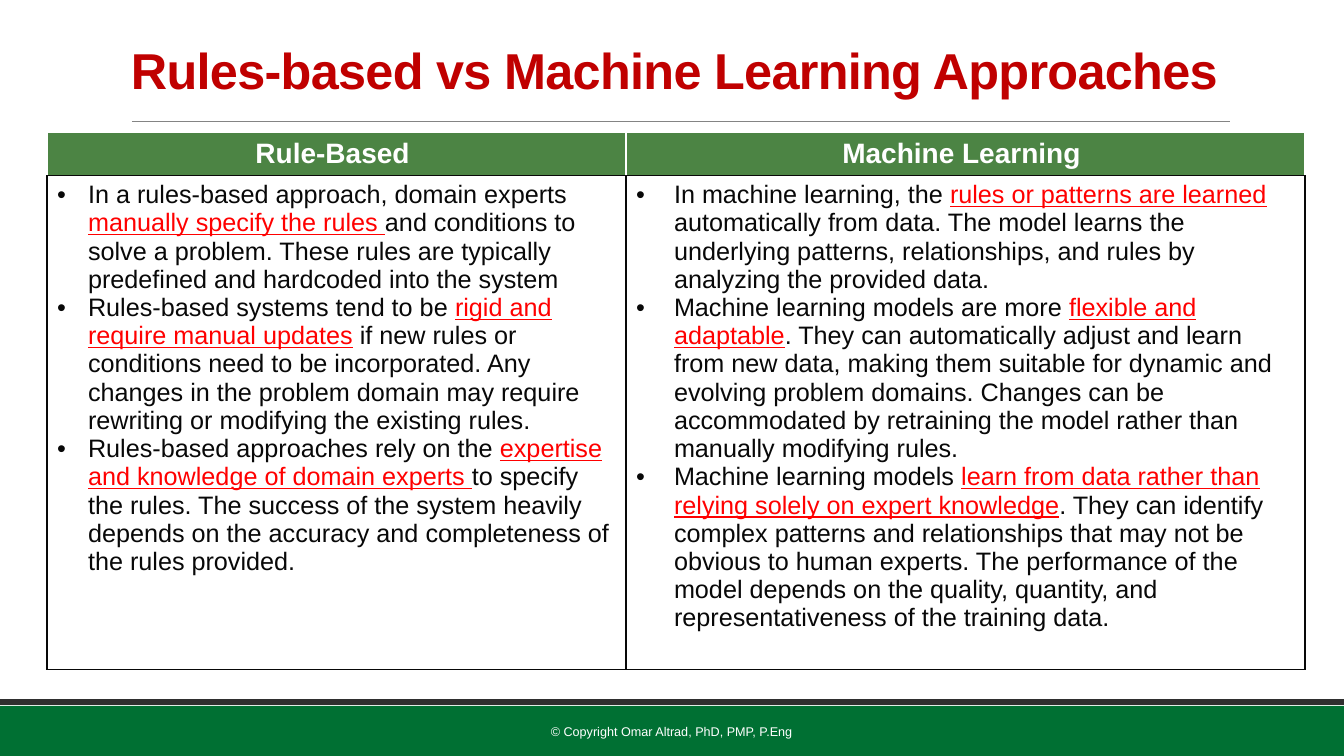
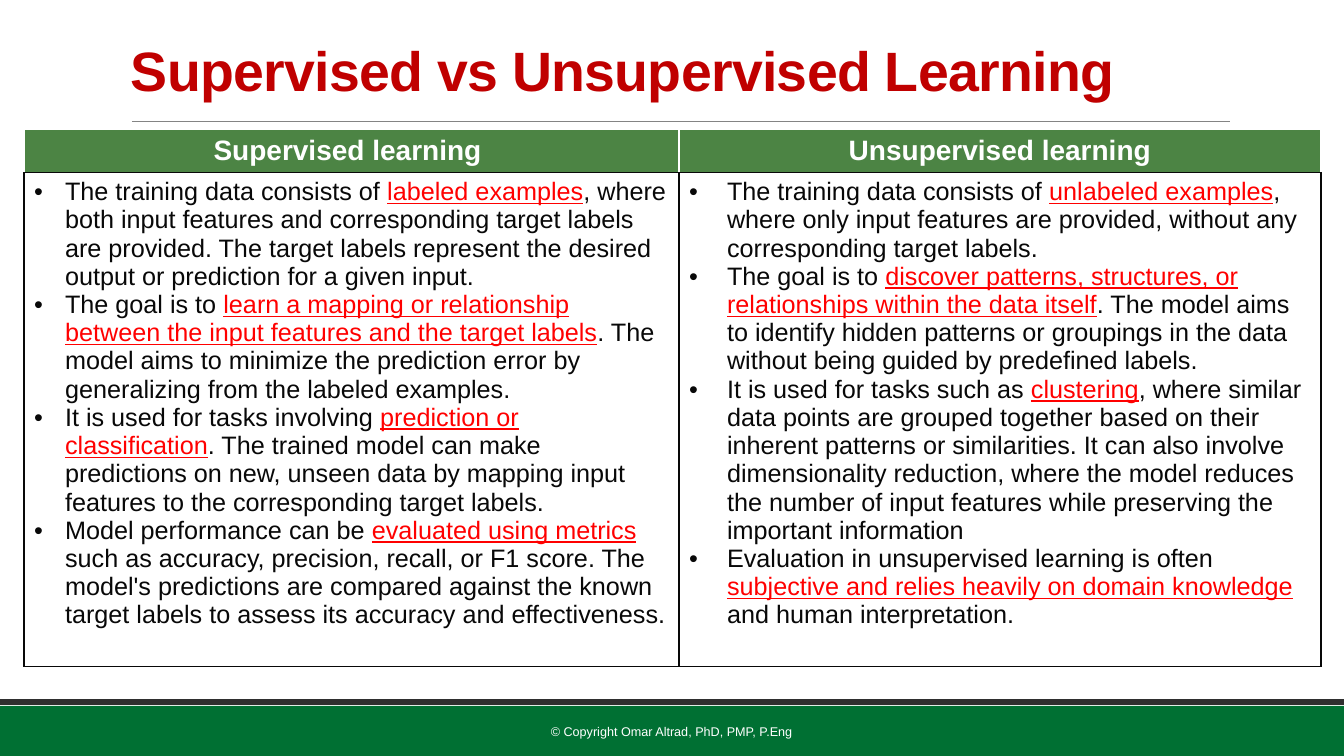
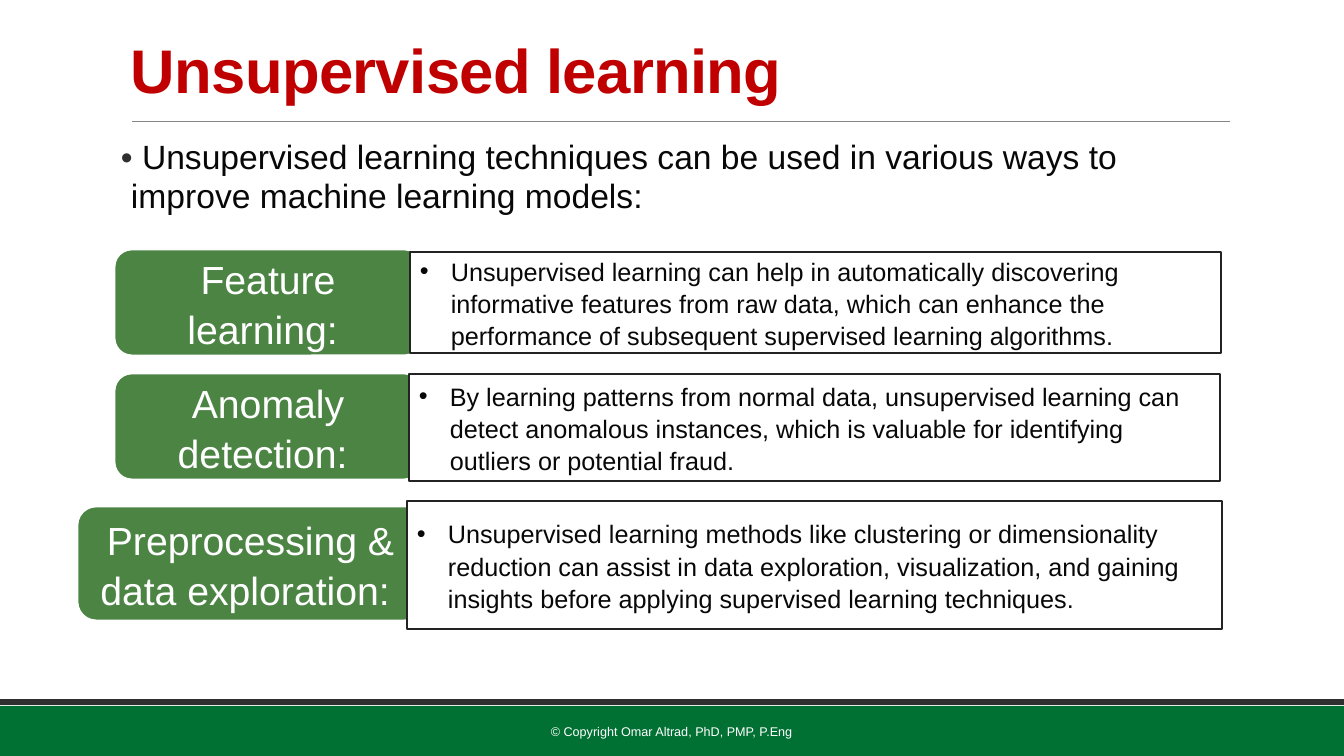
from dataclasses import dataclass
from lxml.etree import SubElement as Sub
from pptx import Presentation as Deck
from pptx.dml.color import RGBColor as Color
from pptx.enum.shapes import MSO_CONNECTOR as Link, MSO_SHAPE as Form
from pptx.enum.text import MSO_ANCHOR as Anchor, PP_ALIGN as Align
from pptx.oxml.ns import qn
from pptx.util import Emu, Pt

SCALE = 12192000 / 1344


@dataclass(frozen=True)
class Theme:
    face: str = "Arial"
    white: str = "FFFFFF"
    ink: str = "080808"
    red: str = "FF0000"
    title: str = "C00000"
    leaf: str = "4C8444"
    band: str = "007033"
    dark: str = "2F2F2F"
    rule: str = "848484"
    edge: str = "232323"
    text: int = 18
    head: int = 20
    lead: int = 24
    label: int = 28
    foot: int = 9


T = Theme()
MID = dict(alignment=Align.CENTER)


def px(n):
    return Emu(round(n * SCALE))


def area(box):
    return [px(n) for n in box]


def put(item, **vals):
    for key, val in vals.items():
        setattr(item, key, val)


def paint(fill, hue):
    fill.solid()
    fill.fore_color.rgb = Color.from_string(hue)


def write(para, text, size, hue, bold=False, **form):
    put(para, **form)
    for i, part in enumerate(text.split("|")):
        mark = i % 2 == 1
        run = para.add_run()
        run.text = part
        put(run.font, name=T.face, size=Pt(size), bold=bold, underline=mark)
        run.font.color.rgb = Color.from_string(T.red if mark else hue)
    return para


def dot(para, dent, hue=T.ink):
    props = para._p.get_or_add_pPr()
    props.set("marL", str(px(dent)))
    props.set("indent", str(-px(dent)))
    Sub(Sub(props, qn("a:buClr")), qn("a:srgbClr"), val=hue)
    Sub(props, qn("a:buFont"), typeface=T.face)
    Sub(props, qn("a:buChar"), char="•")


def block(slide, form, box, hue, edge=None, width=1):
    shape = slide.shapes.add_shape(form, *area(box))
    shape.shadow.inherit = False
    paint(shape.fill, hue)
    if edge:
        paint(shape.line.fill, edge)
        shape.line.width = Pt(width)
    else:
        shape.line.fill.background()
    put(shape.text_frame, word_wrap=True, vertical_anchor=Anchor.MIDDLE)
    return shape.text_frame.paragraphs[0]


def note(slide, box, **form):
    frame = slide.shapes.add_textbox(*area(box)).text_frame
    put(frame, word_wrap=True, **form)
    return frame.paragraphs[0]


def base(deck, title, size):
    slide = deck.slides.add_slide(deck.slide_layouts[6])
    block(slide, Form.RECTANGLE, (0, 706, 1344, 50), T.band)
    block(slide, Form.RECTANGLE, (0, 699, 1344, 6), T.dark)
    line = slide.shapes.add_connector(Link.STRAIGHT, *area((132, 121, 1230, 121)))
    paint(line.line.fill, T.rule)
    line.line.width = Pt(0.5)
    Sub(line._element.spPr, qn("a:effectLst"))
    para = note(slide, (121, 31, 1109, 87), vertical_anchor=Anchor.MIDDLE)
    write(para, title, size, T.title, True, line_spacing=0.85)
    para.runs[0].font._element.set("spc", "-50")
    foot = note(slide, (406, 712, 531, 40), vertical_anchor=Anchor.MIDDLE)
    write(foot, "© Copyright Omar Altrad, PhD, PMP, P.Eng", T.foot, T.white, **MID)
    return slide


def border(cell, hues):
    props = cell._tc.get_or_add_tcPr()
    for i, (side, hue) in enumerate(zip(("lnL", "lnR", "lnT", "lnB"), hues)):
        line = props.makeelement(qn("a:" + side), {"w": str(Pt(1))})
        Sub(Sub(line, qn("a:solidFill")), qn("a:srgbClr"), val=hue)
        props.insert(i, line)


def versus(slide, left, top, sides):
    wide = [side[0] for side in sides]
    rows = (41, 460)
    table = slide.shapes.add_table(2, 2, *area((left, top, sum(wide), sum(rows)))).table
    put(table, horz_banding=False)
    for row, high in zip(table.rows, rows):
        row.height = px(high)
    for i, (width, dent, head, points) in enumerate(sides):
        table.columns[i].width = px(width)
        top_cell, cell = table.cell(0, i), table.cell(1, i)
        top_cell.vertical_anchor = Anchor.MIDDLE
        paint(top_cell.fill, T.leaf)
        border(top_cell, [T.white] * 3 + [T.ink])
        write(top_cell.text_frame.paragraphs[0], head, T.head, T.white, True, **MID)
        paint(cell.fill, T.white)
        border(cell, [T.ink] * 4)
        frame = cell.text_frame
        for j, point in enumerate(points):
            para = frame.add_paragraph() if j else frame.paragraphs[0]
            dot(write(para, point, T.text, T.ink), dent)


def topic(slide, tag, card, name, text):
    para = block(slide, Form.ROUNDED_RECTANGLE, tag, T.leaf, T.white, 2)
    write(para, name, T.label, T.white, line_spacing=1.07, **MID)
    para = block(slide, Form.RECTANGLE, card, T.white, T.edge, 1.25)
    dot(write(para, text, T.text, T.ink, line_spacing=1.07, alignment=Align.LEFT), 31)


RULES = [
    (579, 31, "Rule-Based ", [
        "In a rules-based approach, domain experts |manually specify the rules |and conditions to solve a problem. These rules are typically predefined and hardcoded into the system",
        "Rules-based systems tend to be |rigid and require manual updates| if new rules or conditions need to be incorporated. Any changes in the problem domain may require rewriting or modifying the existing rules.",
        "Rules-based approaches rely on the |expertise and knowledge of domain experts |to specify the rules. The success of the system heavily depends on the accuracy and completeness of the rules provided.",
    ]),
    (679, 38, "Machine Learning ", [
        "In machine learning, the |rules or patterns are learned |automatically from data. The model learns the underlying patterns, relationships, and rules by analyzing the provided data.",
        "Machine learning models are more |flexible and adaptable|. They can automatically adjust and learn from new data, making them suitable for dynamic and evolving problem domains. Changes can be accommodated by retraining the model rather than manually modifying rules.",
        "Machine learning models |learn from data rather than relying solely on expert knowledge|. They can identify complex patterns and relationships that may not be obvious to human experts. The performance of the model depends on the quality, quantity, and representativeness of the training data.",
    ]),
]
KINDS = [
    (655, 31, "Supervised learning ", [
        "The training data consists of |labeled examples|, where both input features and corresponding target labels are provided. The target labels represent the desired output or prediction for a given input.",
        "The goal is to |learn a mapping or relationship between the input features and the target labels|. The model aims to minimize the prediction error by generalizing from the labeled examples.",
        "It is used for tasks involving |prediction or classification|. The trained model can make predictions on new, unseen data by mapping input features to the corresponding target labels.",
        "Model performance can be |evaluated using metrics |such as accuracy, precision, recall, or F1 score. The model's predictions are compared against the known target labels to assess its accuracy and effectiveness.",
    ]),
    (642, 38, "Unsupervised learning", [
        "The training data consists of |unlabeled examples|, where only input features are provided, without any corresponding target labels.",
        "The goal is to |discover patterns, structures, or relationships within the data itself|. The model aims to identify hidden patterns or groupings in the data without being guided by predefined labels.",
        "It is used for tasks such as |clustering|, where similar data points are grouped together based on their inherent patterns or similarities. It can also involve dimensionality reduction, where the model reduces the number of input features while preserving the important information",
        "Evaluation in unsupervised learning is often |subjective and relies heavily on domain knowledge |and human interpretation.",
    ]),
]
TOPICS = [
    ((114, 249, 308, 107), (410, 252, 811, 101), "Feature learning: ",
     "Unsupervised learning can help in automatically discovering informative features from raw data, which can enhance the performance of subsequent supervised learning algorithms."),
    ((114, 373, 308, 107), (409, 374, 811, 107), "Anomaly detection: ",
     "By learning patterns from normal data, unsupervised learning can detect anomalous instances, which is valuable for identifying outliers or potential fraud."),
    ((77, 506, 347, 115), (407, 501, 815, 128), "Preprocessing & data exploration: ",
     "Unsupervised learning methods like clustering or dimensionality reduction can assist in data exploration, visualization, and gaining insights before applying supervised learning techniques."),
]


def main():
    deck = Deck()
    put(deck, slide_width=px(1344), slide_height=px(756))
    versus(base(deck, "Rules-based vs Machine Learning Approaches", 36), 47, 132, RULES)
    versus(base(deck, "Supervised vs Unsupervised Learning", 39.6), 24, 129, KINDS)
    slide = base(deck, "Unsupervised learning", 44)
    lead = note(slide, (121, 134, 1109, 90), margin_left=0, margin_right=0)
    write(lead, " Unsupervised learning techniques can be used in various ways to improve machine learning models:",
          T.lead, T.ink, line_spacing=0.96)
    dot(lead, 10, T.dark)
    for item in TOPICS:
        topic(slide, *item)
    deck.save("out.pptx")


if __name__ == "__main__":
    main()
